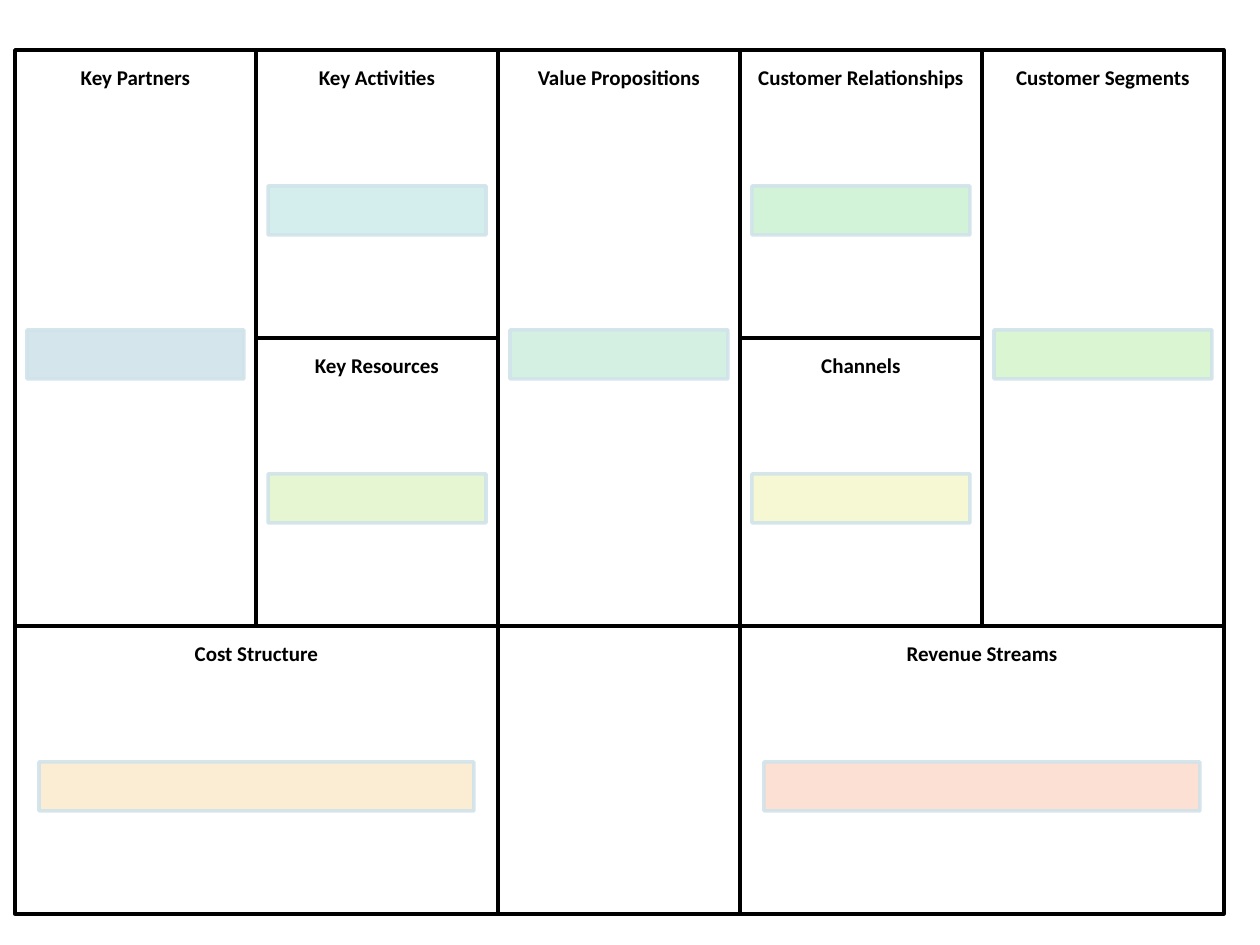
import pptx
import pptx.util
import pptx.dml.color
import pptx.enum.shapes
import pptx.enum.text
import pptx.oxml
import pptx.oxml.ns

SCALE = 914400 / 126
LEFT, TOP = 15, 50
WIDE, ROW = 1209, 288
HEAD, BAR = 58, 49
COLORS = {
    "ink": "000000", "paper": "FFFFFF", "edge": "D0E3EA",
    "partners": "D0E3EA", "acts": "CFEDEB", "value": "CFEFE1",
    "relations": "CFF2D5", "segments": "D6F4CE", "means": "E5F6CE",
    "channels": "F6F8CF", "cost": "FAECCF", "income": "FCDDCF",
}
CELLS = [
    ("Key Partners", "partners", 0, 0, 1, 2),
    ("Key Activities", "acts", 1, 0, 1, 1),
    ("Value Propositions", "value", 2, 0, 1, 2),
    ("Customer Relationships", "relations", 3, 0, 1, 1),
    ("Customer Segments", "segments", 4, 0, 1, 2),
    ("Key Resources", "means", 1, 1, 1, 1),
    ("Channels", "channels", 3, 1, 1, 1),
    ("Cost Structure", "cost", 0, 2, 2, 1),
    ("Revenue Streams", "income", 3, 2, 2, 1),
    (None, None, 2, 2, 1, 1),
]


def px(size):
    """Turn pixels into EMU."""
    return pptx.util.Emu(round(size * SCALE))


def tint(name):
    """Look up a colour by name."""
    return pptx.dml.color.RGBColor.from_string(COLORS[name])


def fade(fill):
    """Make a solid fill ninety percent opaque."""
    for color in fill.iter(pptx.oxml.ns.qn("a:srgbClr")):
        color.append(pptx.oxml.parse_xml(
            f'<a:alpha {pptx.oxml.ns.nsdecls("a")} val="90000"/>'))


def add_box(shapes, box, fill, line):
    """Add an outlined rectangle."""
    shape = shapes.add_shape(pptx.enum.shapes.MSO_SHAPE.RECTANGLE, *map(px, box))
    shape.shadow.inherit = False
    shape.fill.solid()
    shape.fill.fore_color.rgb = tint(fill)
    shape.line.color.rgb = tint(line)
    shape.line.width = pptx.util.Pt(2)
    return shape


def add_head(shapes, box, text):
    """Add the bold heading of a cell."""
    frame = shapes.add_textbox(*map(px, box)).text_frame
    frame.word_wrap = True
    frame.vertical_anchor = pptx.enum.text.MSO_ANCHOR.MIDDLE
    frame.margin_left = frame.margin_right = px(11)
    frame.margin_top = frame.margin_bottom = px(11)
    para = frame.paragraphs[0]
    para.alignment = pptx.enum.text.PP_ALIGN.CENTER
    para.line_spacing = 0.9
    para.space_after = pptx.util.Pt(4)
    run = para.add_run()
    run.text = text
    run.font.name = "Calibri"
    run.font.size = pptx.util.Pt(12)
    run.font.bold = True
    run.font.color.rgb = tint("ink")


def add_cell(shapes, text, fill, col, row, cols, rows):
    """Add a canvas cell with its heading and bar."""
    left, right = (LEFT + n * WIDE // 5 for n in (col, col + cols))
    top, width, height = TOP + row * ROW, right - left, rows * ROW
    add_box(shapes, (left, top, width, height), "paper", "ink")
    if text:
        add_head(shapes, (left, top, width, HEAD), text)
        inset = round(width / 20)
        bar = (left + inset, top + height // 2 - 8, width - 2 * inset, BAR)
        fade(add_box(shapes, bar, fill, "edge").element.spPr)


def main():
    """Build the business model canvas."""
    deck = pptx.Presentation()
    deck.slide_width, deck.slide_height = px(1260), px(945)
    slide = deck.slides.add_slide(deck.slide_layouts[6])
    group = slide.shapes.add_group_shape()
    for cell in CELLS:
        add_cell(group.shapes, *cell)
    deck.save("out.pptx")


if __name__ == "__main__":
    main()
